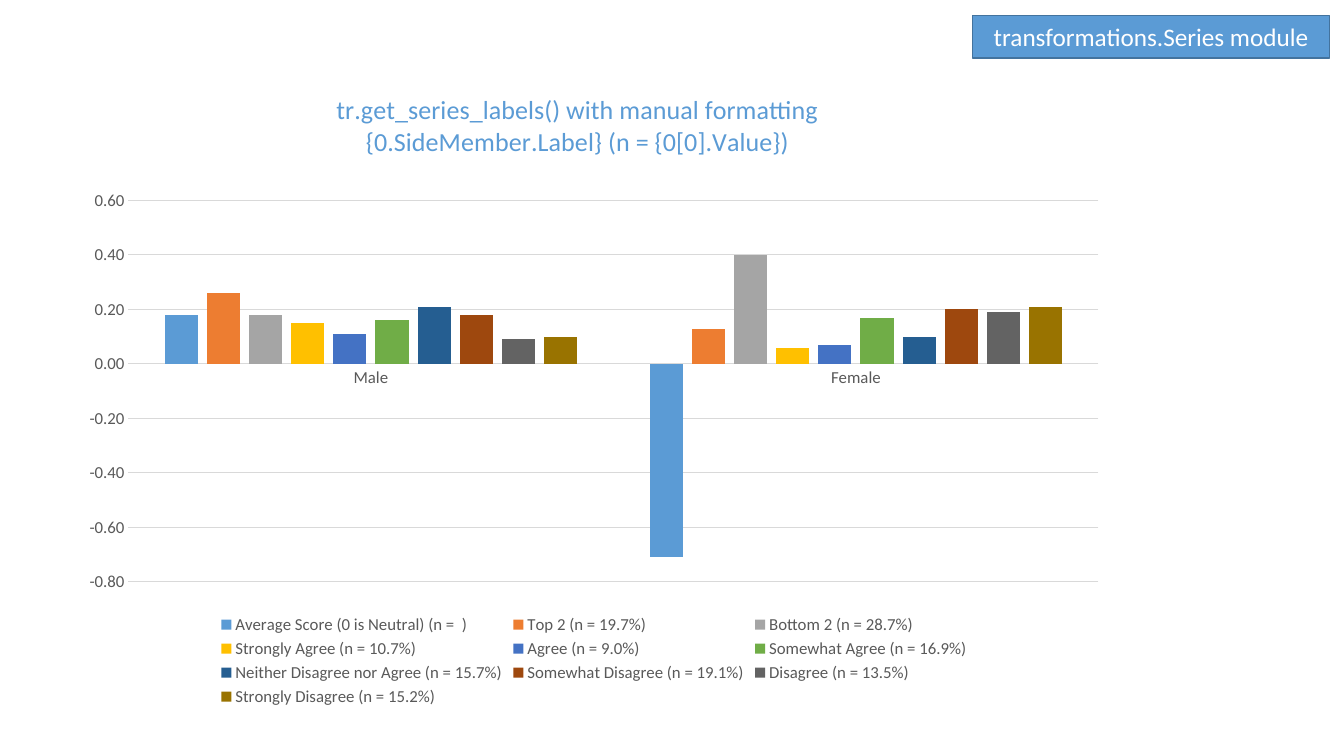
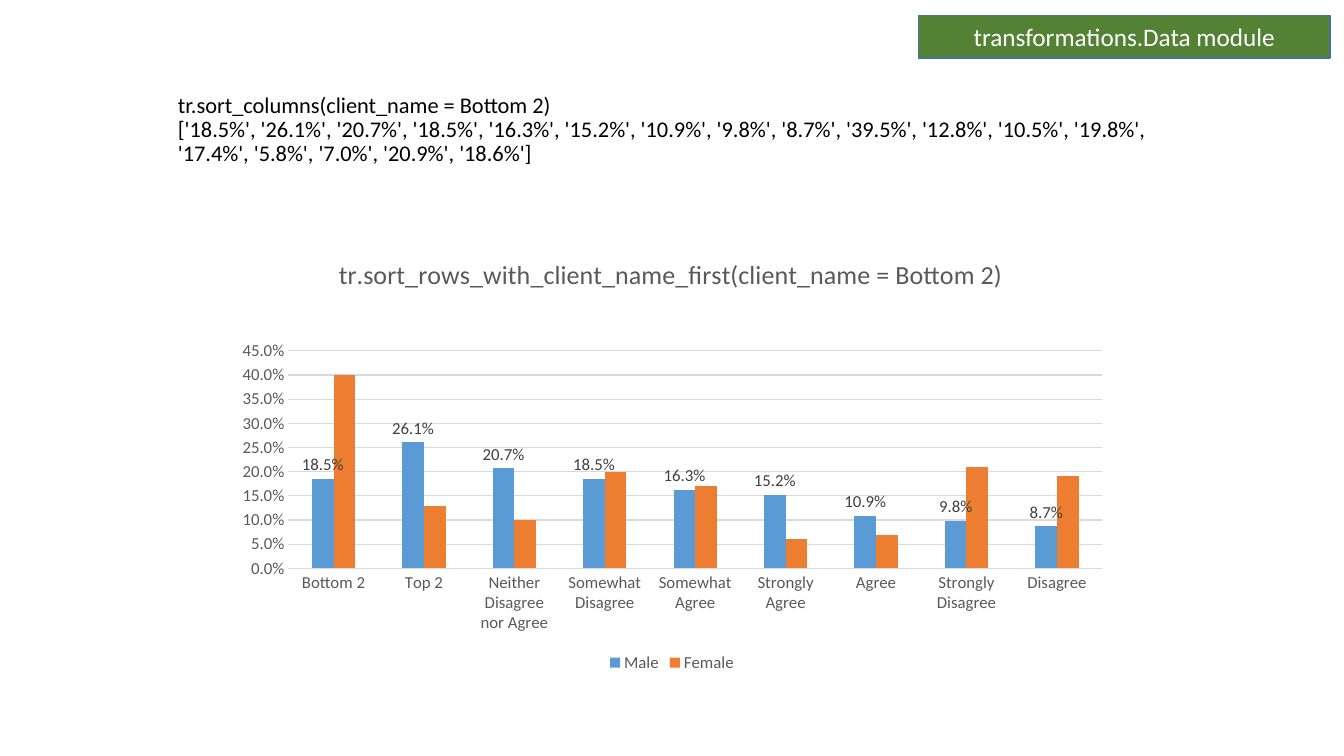
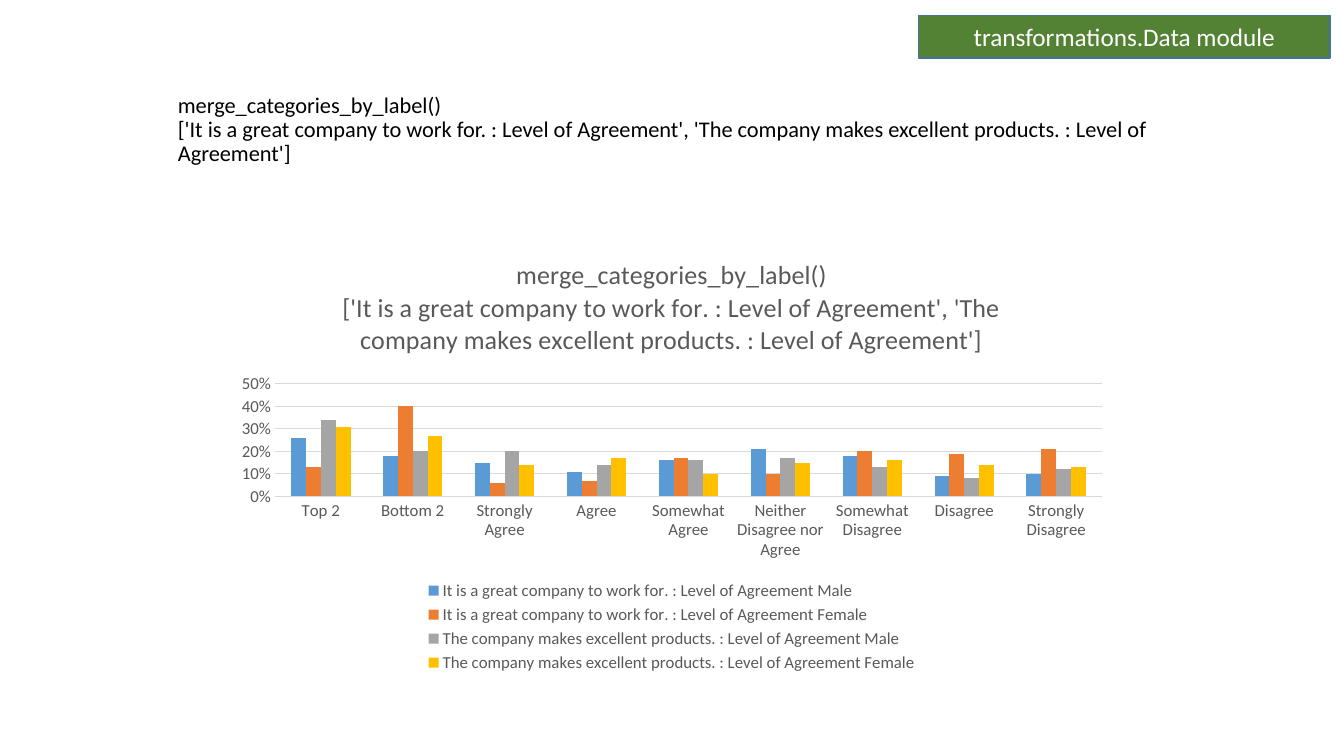
"""Build three slides of survey charts, each with a module band in the top corner."""
from pptx import Presentation
from pptx.chart.data import CategoryChartData
from pptx.dml.color import RGBColor
from pptx.enum.chart import XL_CHART_TYPE, XL_LABEL_POSITION, XL_LEGEND_POSITION, XL_TICK_MARK
from pptx.enum.shapes import MSO_SHAPE
from pptx.enum.text import MSO_ANCHOR, PP_ALIGN
from pptx.oxml import parse_xml
from pptx.oxml.ns import nsdecls
from pptx.util import Inches, Pt

FONT = "Calibri"
GREY, GRID, LABEL = "595959", "D9D9D9", "404040"
BLUE, GREEN, BAND_LINE = "5B9BD5", "548235", "43739E"
SERIES_COLORS = [BLUE, "ED7D31", "A5A5A5", "FFC000", "4472C4",
                 "70AD47", "255E91", "9E480E", "636363", "997300"]
BAND_RIGHT, BAND_TOP, BAND_HEIGHT = 98.95, 2.05, 5.6
HEADING_AREA = (12.5, 12.6, 75, 10.1)
LOWER_CHART = (16.65, 31.35, 66.7, 58.15)

deck = Presentation()
deck.slide_width, deck.slide_height = Inches(13.33), Inches(7.5)


def color(hex_code):
    """Turn a hex string into a colour."""
    return RGBColor.from_string(hex_code)


def area(left, top, width, height):
    """Turn percentages of the slide's size into lengths."""
    across, down = deck.slide_width / 100, deck.slide_height / 100
    return int(left * across), int(top * down), int(width * across), int(height * down)


series_module = ("transformations.Series module", BLUE, 26.6)
data_module = ("transformations.Data module", GREEN, 30.6)
work, products = [f"{statement} : Level of Agreement" for statement in
                  ("It is a great company to work for.", "The company makes excellent products.")]
merged_text = f"merge_categories_by_label()\n['{work}', '{products}']"

slides = [
    {
        "band": series_module,
        "heading": None,
        "chart_area": (5.1, 10.5, 78.2, 83.5),
        "title": "tr.get_series_labels() with manual formatting\n"
                 "{0.SideMember.Label} (n = {0[0].Value})",
        "title_color": BLUE,
        "title_at": (25.2, 1.5),
        "plot_at": (5.7, 19.2, 92.3, 60.4),
        "scale": (-0.8, 0.6, 0.2, "0.00"),
        "overlap": -27,
        "labelled": [],
        "categories": ["Male", "Female"],
        "series": {
            "Average Score (0 is Neutral) (n =  )": [0.18, -0.71],
            "Top 2 (n = 19.7%)": [0.26, 0.13],
            "Bottom 2 (n = 28.7%)": [0.18, 0.4],
            "Strongly Agree (n = 10.7%)": [0.15, 0.06],
            "Agree (n = 9.0%)": [0.11, 0.07],
            "Somewhat Agree (n = 16.9%)": [0.16, 0.17],
            "Neither Disagree nor Agree (n = 15.7%)": [0.21, 0.1],
            "Somewhat Disagree (n = 19.1%)": [0.18, 0.2],
            "Disagree (n = 13.5%)": [0.09, 0.19],
            "Strongly Disagree (n = 15.2%)": [0.1, 0.21],
        },
    },
    {
        "band": data_module,
        "heading": "tr.sort_columns(client_name = Bottom 2)\n"
                   "['18.5%', '26.1%', '20.7%', '18.5%', '16.3%', '15.2%', '10.9%', "
                   "'9.8%', '8.7%', '39.5%', '12.8%', '10.5%', '19.8%', '17.4%', "
                   "'5.8%', '7.0%', '20.9%', '18.6%']",
        "chart_area": LOWER_CHART,
        "title": "tr.sort_rows_with_client_name_first(client_name = Bottom 2)",
        "title_color": GREY,
        "title_at": (12.3, 3.3),
        "plot_at": (7.2, 25.9, 90.8, 49.5),
        "scale": (0, 0.45, 0.05, "0.0%"),
        "overlap": 0,
        "labelled": ["Male"],
        "categories": ["Bottom 2", "Top 2", "Neither Disagree nor Agree",
                       "Somewhat Disagree", "Somewhat Agree", "Strongly Agree",
                       "Agree", "Strongly Disagree", "Disagree"],
        "series": {
            "Male": [0.185, 0.261, 0.207, 0.185, 0.163, 0.152, 0.109, 0.098, 0.087],
            "Female": [0.4, 0.13, 0.1, 0.2, 0.17, 0.06, 0.07, 0.21, 0.19],
        },
    },
    {
        "band": data_module,
        "heading": merged_text,
        "chart_area": LOWER_CHART,
        "title": merged_text,
        "title_color": GREY,
        "title_at": (12.9, 4),
        "plot_at": (5.7, 33.4, 92.3, 25.6),
        "scale": (0, 0.5, 0.1, "0%"),
        "overlap": 0,
        "labelled": [],
        "categories": ["Top 2", "Bottom 2", "Strongly Agree", "Agree", "Somewhat Agree",
                       "Neither Disagree nor Agree", "Somewhat Disagree",
                       "Disagree", "Strongly Disagree"],
        "series": {
            f"{work} Male": [0.26, 0.18, 0.15, 0.11, 0.16, 0.21, 0.18, 0.09, 0.1],
            f"{work} Female": [0.13, 0.4, 0.06, 0.07, 0.17, 0.1, 0.2, 0.19, 0.21],
            f"{products} Male": [0.34, 0.2, 0.2, 0.14, 0.16, 0.17, 0.13, 0.08, 0.12],
            f"{products} Female": [0.31, 0.27, 0.14, 0.17, 0.1, 0.15, 0.16, 0.14, 0.13],
        },
    },
]

for content in slides:
    page = deck.slides.add_slide(deck.slide_layouts[6])

    if content["heading"]:
        box = page.shapes.add_textbox(*area(*HEADING_AREA))
        box.text_frame.word_wrap = True
        box.text_frame.vertical_anchor = MSO_ANCHOR.BOTTOM
        box.text_frame.text = content["heading"]
        for para in box.text_frame.paragraphs:
            para.line_spacing = 0.9
            para.font.name, para.font.size = FONT, Pt(16)
            para.font.color.rgb = color("000000")

    data = CategoryChartData()
    data.categories = content["categories"]
    for name, values in content["series"].items():
        data.add_series(name, values)
    chart = page.shapes.add_chart(XL_CHART_TYPE.COLUMN_CLUSTERED,
                                  *area(*content["chart_area"]), data).chart
    chart.font.name, chart.font.size = FONT, Pt(12)
    chart.font.color.rgb = color(GREY)

    chart.has_title = True
    chart.chart_title.text_frame.text = content["title"]
    for para in chart.chart_title.text_frame.paragraphs:
        para.font.name, para.font.size, para.font.bold = FONT, Pt(18.6), False
        para.font.color.rgb = color(content["title_color"])

    chart.has_legend = True
    chart.legend.position = XL_LEGEND_POSITION.BOTTOM
    chart.legend.include_in_layout = False

    low, high, step, number_format = content["scale"]
    value_axis, category_axis = chart.value_axis, chart.category_axis
    value_axis.minimum_scale, value_axis.maximum_scale = low, high
    value_axis.major_unit = step
    value_axis.tick_labels.number_format = number_format
    value_axis.tick_labels.number_format_is_linked = False
    value_axis.format.line.fill.background()
    for axis in (value_axis, category_axis):
        axis.major_tick_mark = axis.minor_tick_mark = XL_TICK_MARK.NONE
    for line in (value_axis.major_gridlines.format.line, category_axis.format.line):
        line.color.rgb = color(GRID)
        line.width = Pt(0.75)

    plot = chart.plots[0]
    plot.gap_width, plot.overlap = 219, content["overlap"]
    plot.vary_by_categories = False
    for series, fill in zip(plot.series, SERIES_COLORS):
        series.format.fill.solid()
        series.format.fill.fore_color.rgb = color(fill)
        series.invert_if_negative = False
        if series.name in content["labelled"]:
            labels = series.data_labels
            labels.show_value = True
            labels.position = XL_LABEL_POSITION.OUTSIDE_END
            labels.number_format, labels.number_format_is_linked = number_format, False
            labels.font.name, labels.font.size = FONT, Pt(12)
            labels.font.color.rgb = color(LABEL)

    title_element = chart.chart_title.element
    plot_element = chart.element.xpath("c:chart/c:plotArea")[0]
    for parent, index, target, shares in (
            (title_element, 1, "", content["title_at"]),
            (plot_element, 0, '<c:layoutTarget val="inner"/>', content["plot_at"])):
        for old_layout in parent.xpath("c:layout"):
            parent.remove(old_layout)
        modes = '<c:xMode val="edge"/><c:yMode val="edge"/>'
        sizes = "".join(f'<c:{key} val="{share / 100:.3f}"/>'
                        for key, share in zip("xywh", shares))
        parent.insert(index, parse_xml(
            f'<c:layout {nsdecls("c")}><c:manualLayout>{target}{modes}{sizes}'
            '</c:manualLayout></c:layout>'))

    band_text, band_fill, band_width = content["band"]
    band = page.shapes.add_shape(
        MSO_SHAPE.RECTANGLE,
        *area(BAND_RIGHT - band_width, BAND_TOP, band_width, BAND_HEIGHT))
    band.shadow.inherit = False
    band.fill.solid()
    band.fill.fore_color.rgb = color(band_fill)
    band.line.color.rgb = color(BAND_LINE)
    band.line.width = Pt(1)
    band.text_frame.vertical_anchor = MSO_ANCHOR.MIDDLE
    band.text_frame.text = band_text
    para = band.text_frame.paragraphs[0]
    para.alignment = PP_ALIGN.CENTER
    para.font.name, para.font.size = FONT, Pt(18)
    para.font.color.rgb = color("FFFFFF")

deck.save("out.pptx")
